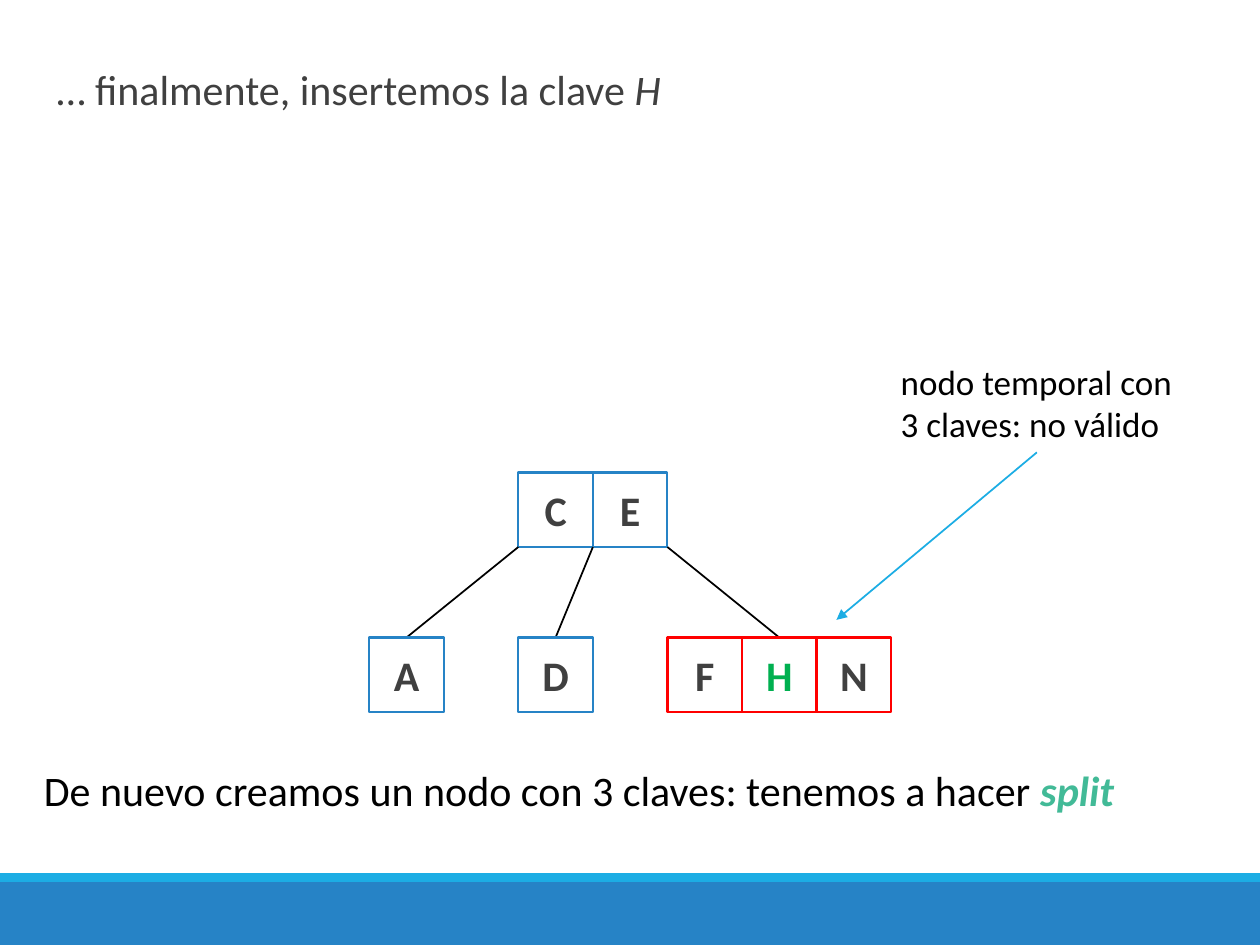
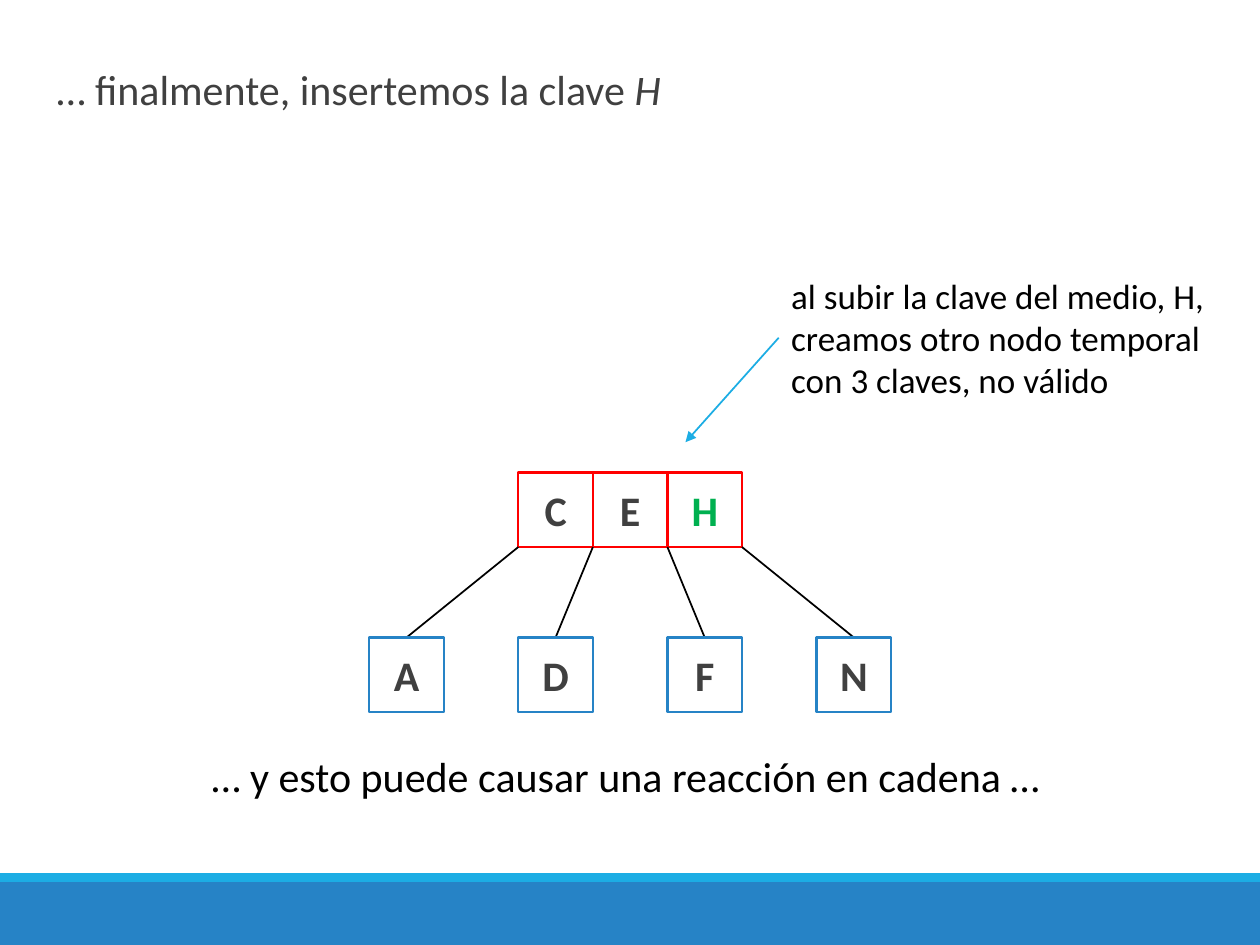
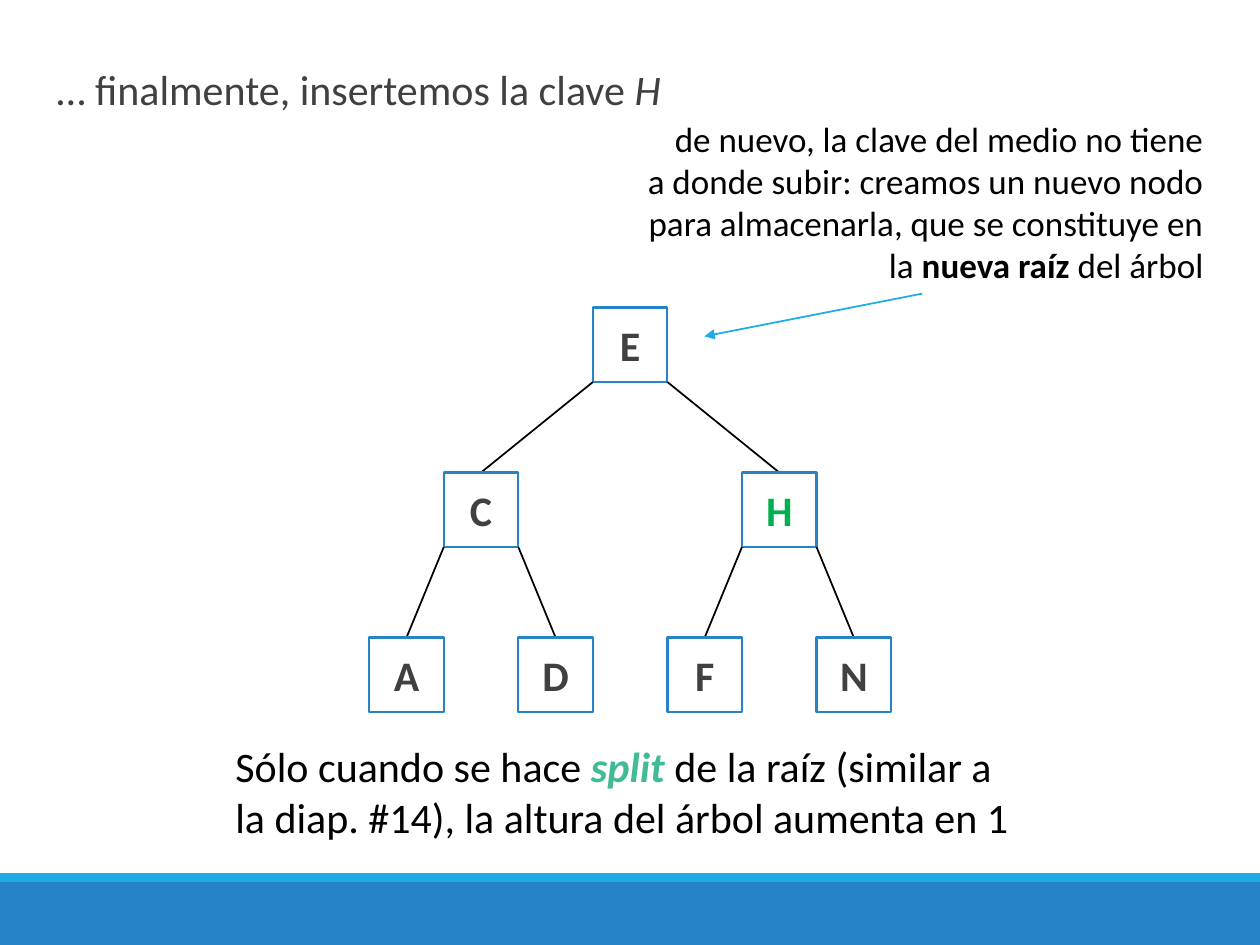
from dataclasses import dataclass

from lxml.etree import SubElement
from pptx import Presentation
from pptx.dml.color import RGBColor as RGB
from pptx.enum.shapes import MSO_CONNECTOR as CONN, MSO_SHAPE as SHAPE
from pptx.enum.text import MSO_ANCHOR as ANCHOR, MSO_AUTO_SIZE as FIT, PP_ALIGN as ALIGN
from pptx.oxml.ns import qn
from pptx.util import Pt


@dataclass(frozen=True)
class Theme:
    """Colours, font and type sizes of the deck."""
    font: str = "Calibri"
    body: int = 24
    note: int = 20
    white: str = "FFFFFF"
    black: str = "000000"
    ink: str = "404040"
    blue: str = "2683C6"
    sky: str = "1CADE4"
    invalid: str = "FF0000"
    new_key: str = "00B050"
    term: str = "42BA97"


@dataclass(frozen=True)
class Node:
    """A tree node: its first grid column, its keys and its children."""
    col: int
    keys: str
    children: tuple = ()


T = Theme()
WIDTH, HEIGHT = 720, 540
GRID_LEFT, GRID_TOP = 211, 175.7
CELL, LEVEL = 42.6, 94.3
MAX_KEYS, NEW_KEY = 2, "H"
SPLIT = ("split", dict(color=T.term, bold=True, italic=True))


def write(tf, text, *, size=T.body, color=T.black, bold=False, italic=False,
          align=ALIGN.LEFT, anchor=ANCHOR.TOP, wrap=True, fit=FIT.NONE, spacing=None):
    """Fill a text frame with paragraphs, each a string or a list of (text, format) runs."""
    tf.word_wrap, tf.auto_size, tf.vertical_anchor = wrap, fit, anchor
    for i, runs in enumerate(text):
        p = tf.add_paragraph() if i else tf.paragraphs[0]
        p.alignment, p.line_spacing = align, spacing
        for words, own in [(runs, {})] if isinstance(runs, str) else runs:
            r = p.add_run()
            r.text = words
            f = r.font
            f.name, f.size = T.font, Pt(size)
            f.bold = own.get("bold", bold)
            f.italic = own.get("italic", italic)
            f.color.rgb = RGB.from_string(own.get("color", color))


def add_text(s, left, top, width, height, text, **fmt):
    """Add a text box that grows with its text."""
    sp = s.shapes.add_textbox(Pt(left), Pt(top), Pt(width), Pt(height))
    write(sp.text_frame, text, fit=FIT.SHAPE_TO_FIT_TEXT, **fmt)


def add_rect(s, left, top, width, height, fill, line=None):
    """Add a flat rectangle, with an outline if a line colour is given."""
    sp = s.shapes.add_shape(SHAPE.RECTANGLE, Pt(left), Pt(top), Pt(width), Pt(height))
    sp.shadow.inherit = False
    sp.fill.solid()
    sp.fill.fore_color.rgb = RGB.from_string(fill)
    if line:
        sp.line.color.rgb = RGB.from_string(line)
        sp.line.width = Pt(1.25)
    else:
        sp.line.fill.background()
    return sp


def add_line(s, start, end, color=T.black, arrow=False):
    """Add a thin straight line, with an arrowhead at its end on request."""
    sp = s.shapes.add_connector(CONN.STRAIGHT, *(Pt(v) for v in (*start, *end)))
    sp.line.color.rgb = RGB.from_string(color)
    sp.line.width = Pt(1)
    spPr = sp._element.spPr
    if arrow:
        SubElement(spPr.find(qn("a:ln")), qn("a:tailEnd"), type="triangle")
    SubElement(spPr, qn("a:effectLst"))


def grid_point(col, row):
    """Return the top left corner of a grid cell."""
    return GRID_LEFT + col * CELL, GRID_TOP + row * LEVEL


def add_tree(s, node, row):
    """Draw a node, the lines to its children and the trees below."""
    outline = T.invalid if len(node.keys) > MAX_KEYS else T.blue
    for i, key in enumerate(node.keys):
        sp = add_rect(s, *grid_point(node.col + i, row), CELL, CELL, T.white, outline)
        write(sp.text_frame, [key], bold=True, align=ALIGN.CENTER, anchor=ANCHOR.MIDDLE,
              color=T.new_key if key == NEW_KEY else T.ink)
    for i, child in enumerate(node.children):
        x, y = grid_point(node.col + i, row)
        add_line(s, (x, y + CELL), grid_point(child.col + len(child.keys) / 2, row + 1))
        add_tree(s, child, row + 1)


def add_note(s, left, top, width, height, text, start, end, **fmt):
    """Add a remark and the arrow that leads from it to a node."""
    add_text(s, left, top, width, height, text, size=T.note, wrap=False, **fmt)
    add_line(s, start, end, T.sky, arrow=True)


def add_slide(prs):
    """Add a slide with the shared title and the bands at the bottom."""
    s = prs.slides.add_slide(prs.slide_layouts[5])
    add_rect(s, 0, 504, WIDTH, HEIGHT - 504, T.blue)
    add_rect(s, 0, 499, WIDTH, 5, T.sky)
    title = s.shapes.title
    title.left, title.top, title.width, title.height = Pt(25.2), Pt(18), Pt(676.8), Pt(54)
    write(title.text_frame,
          [[("… finalmente, insertemos la clave ", {}), ("H", dict(italic=True))]],
          color=T.ink, spacing=1.5)
    return s


def temporary_leaf(prs):
    """Build the slide where a leaf holds three keys."""
    s = add_slide(prs)
    add_tree(s, Node(2, "CE", (Node(0, "A"), Node(2, "D"), Node(4, "FHN"))), 1)
    add_text(s, 18, 433.5, 655, 36,
             [[("De nuevo creamos un nodo con 3 claves: tenemos a hacer ", {}), SPLIT]])
    add_note(s, 507.6, 202.3, 170.6, 55.4,
             ["nodo temporal con", "3 claves: no válido"],
             (592.5, 258.5), (478, 354.2))


def temporary_root(prs):
    """Build the slide where the root holds three keys."""
    s = add_slide(prs)
    leaves = tuple(Node(2 * i, key) for i, key in enumerate("ADFN"))
    add_tree(s, Node(2, "CEH", leaves), 1)
    add_text(s, 113.8, 425.5, 491.8, 36, ["… y esto puede causar una reacción en cadena …"])
    add_note(s, 445, 153.4, 252.7, 80,
             ["al subir la clave del medio, H,", "creamos otro nodo temporal",
              "con 3 claves, no válido"],
             (445, 193), (391.7, 252.7))


def new_root(prs):
    """Build the slide where the tree gains a level."""
    s = add_slide(prs)
    left = Node(1, "C", (Node(0, "A"), Node(2, "D")))
    right = Node(5, "H", (Node(4, "F"), Node(6, "N")))
    add_tree(s, Node(3, "E", (left, right)), 0)
    add_text(s, 127.4, 419.8, 464.4, 65.5,
             [[("Sólo cuando se hace ", {}), SPLIT,
               (" de la raíz (similar a la diap. #14), la altura del árbol aumenta en 1", {})]])
    add_note(s, 360, 63.4, 334.8, 104.4,
             ["de nuevo, la clave del medio no tiene",
              "a donde subir: creamos un nuevo nodo",
              "para almacenarla, que se constituye en",
              [("la ", {}), ("nueva raíz ", dict(bold=True)), ("del árbol", {})]],
             (527, 167.8), (402.5, 192.2), align=ALIGN.RIGHT)


def main():
    """Build the deck and save it."""
    prs = Presentation()
    prs.slide_width, prs.slide_height = Pt(WIDTH), Pt(HEIGHT)
    for build in (temporary_leaf, temporary_root, new_root):
        build(prs)
    prs.save("out.pptx")


if __name__ == "__main__":
    main()
